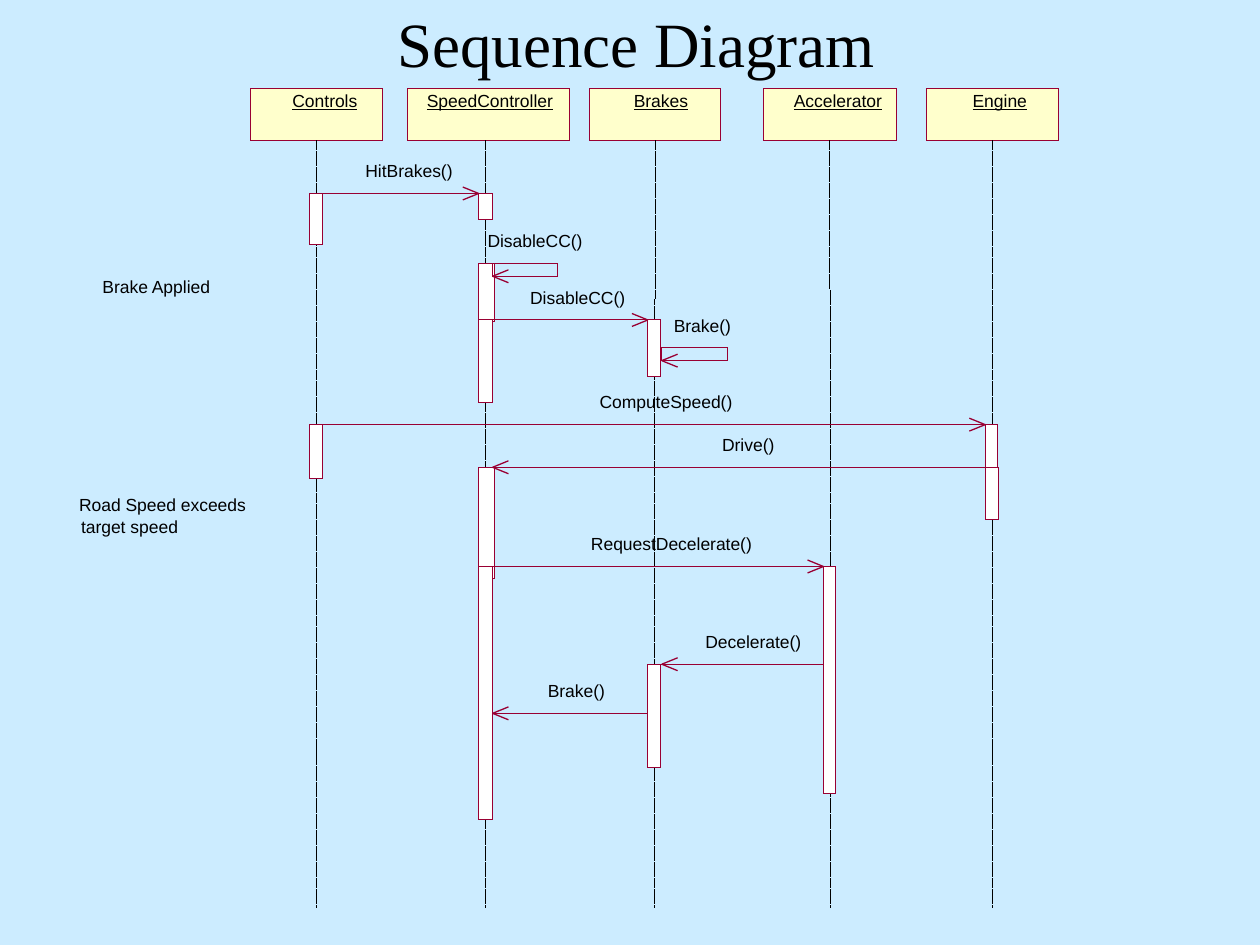
import dataclasses

import pptx
import pptx.dml.color
import pptx.enum.dml
import pptx.enum.shapes
import pptx.enum.text
import pptx.oxml.ns
import pptx.util
from lxml import etree

Cm = pptx.util.Cm
Pt = pptx.util.Pt

COLORS = {
    "background": "CCECFF",
    "head": "FFFFCC",
    "bar": "FFFFFF",
    "outline": "990033",
    "text": "000000",
}
HAIRLINE = 0.01
HEAD_TOP, HEAD_HEIGHT = 1.78, 1.05
LIFELINE_BOTTOM = 18.29
BAR_OFFSET = 0.14
MESSAGE_GAP = 0.14
LABEL_RISE = 0.62
LABEL_HEIGHT = 0.38
LABEL_PADDING = 0.15
ARROW_LENGTH, ARROW_RISE = 0.32, 0.13
LOOP_WIDTH, LOOP_HEIGHT = 1.32, 0.26


@dataclasses.dataclass
class Label:
    text: str
    left: float
    top: float
    width: float


@dataclasses.dataclass
class Bar:
    top: float
    height: float
    width: float


@dataclasses.dataclass
class Participant:
    name: str
    head_left: float
    head_width: float
    label_left: float
    label_width: float
    axis: float
    bars: list[Bar]


@dataclasses.dataclass
class Message:
    text: str
    sender: str
    receiver: str
    top: float
    label_left: float
    label_width: float


PARTICIPANTS = [
    Participant("Controls", 5.05, 2.67, 5.89, 1.32, 6.38,
                [Bar(3.9, 1.04, 0.27), Bar(8.56, 1.09, 0.27)]),
    Participant("SpeedController", 8.21, 3.27, 8.48, 2.79, 9.79,
                [Bar(3.9, 0.53, 0.28), Bar(5.31, 1.17, 0.32), Bar(6.45, 1.67, 0.28),
                 Bar(9.42, 2.24, 0.32), Bar(11.42, 5.1, 0.28)]),
    Participant("Brakes", 11.89, 2.63, 12.78, 1.09, 13.2,
                [Bar(6.45, 1.14, 0.25), Bar(13.39, 2.08, 0.25)]),
    Participant("Accelerator", 15.39, 2.68, 16.0, 1.78, 16.74,
                [Bar(11.42, 4.57, 0.25)]),
    Participant("Engine", 18.67, 2.67, 19.61, 1.09, 20.0,
                [Bar(8.56, 0.86, 0.25), Bar(9.42, 1.05, 0.28)]),
]

MESSAGES = [
    Message("HitBrakes()", "Controls", "SpeedController", 3.9, 7.37, 1.75),
    Message("DisableCC()", "SpeedController", "SpeedController", 5.31, 9.83, 1.91),
    Message("DisableCC()", "SpeedController", "Brakes", 6.45, 10.69, 1.91),
    Message("Brake()", "Brakes", "Brakes", 7.01, 13.59, 1.14),
    Message("ComputeSpeed()", "Controls", "Engine", 8.56, 12.09, 2.67),
    Message("Drive()", "Engine", "SpeedController", 9.42, 14.55, 1.07),
    Message("RequestDecelerate()", "SpeedController", "Accelerator", 11.42, 11.91, 3.25),
    Message("Decelerate()", "Accelerator", "Brakes", 13.39, 14.22, 1.93),
    Message("Brake()", "Brakes", "SpeedController", 14.38, 11.05, 1.14),
]

NOTES = [
    Label("Brake Applied", 2.06, 5.61, 2.18),
    Label("Road Speed exceeds", 1.6, 10.01, 3.35),
    Label("target speed", 1.63, 10.45, 1.96),
]


def color(name: str) -> pptx.dml.color.RGBColor:
    return pptx.dml.color.RGBColor.from_string(COLORS[name])


def format_runs(paragraph, font_name: str, size: float, underline: bool = False) -> None:
    paragraph.alignment = pptx.enum.text.PP_ALIGN.CENTER
    for run in paragraph.runs:
        run.font.name = font_name
        run.font.size = Pt(size)
        run.font.color.rgb = color("text")
        if underline:
            run.font.underline = True


def draw_title(slide, text: str) -> None:
    title = slide.shapes.title
    title.left, title.top, title.width, title.height = Cm(4.19), Cm(0), Cm(17.27), Cm(1.7)
    title.text_frame.text = text
    title.text_frame.vertical_anchor = pptx.enum.text.MSO_ANCHOR.MIDDLE
    format_runs(title.text_frame.paragraphs[0], "Times New Roman", 36)


def draw_label(slide, label: Label, underline: bool = False) -> None:
    box = slide.shapes.add_textbox(
        Cm(label.left - LABEL_PADDING), Cm(label.top),
        Cm(label.width + 2 * LABEL_PADDING), Cm(LABEL_HEIGHT))
    frame = box.text_frame
    frame.margin_left = frame.margin_right = frame.margin_top = frame.margin_bottom = 0
    frame.word_wrap = False
    frame.auto_size = pptx.enum.text.MSO_AUTO_SIZE.SHAPE_TO_FIT_TEXT
    frame.text = label.text
    paragraph = frame.paragraphs[0]
    paragraph.line_spacing = 0.9
    paragraph.space_before = Pt(3.7)
    format_runs(paragraph, "Arial", 10, underline)


def draw_box(slide, left: float, top: float, width: float, height: float,
             fill: str | None = None):
    shape = slide.shapes.add_shape(
        pptx.enum.shapes.MSO_SHAPE.RECTANGLE, Cm(left), Cm(top), Cm(width), Cm(height))
    shape.shadow.inherit = False
    if fill:
        shape.fill.solid()
        shape.fill.fore_color.rgb = color(fill)
    else:
        shape.fill.background()
    shape.line.color.rgb = color("outline")
    shape.line.width = Pt(HAIRLINE)
    return shape


def draw_line(slide, start: tuple[float, float], end: tuple[float, float],
              stroke: str = "outline", width: float = HAIRLINE):
    connector = slide.shapes.add_connector(
        pptx.enum.shapes.MSO_CONNECTOR.STRAIGHT,
        Cm(start[0]), Cm(start[1]), Cm(end[0]), Cm(end[1]))
    connector.line.color.rgb = color(stroke)
    connector.line.width = Pt(width)
    properties = connector._element.spPr
    etree.SubElement(properties, pptx.oxml.ns.qn("a:effectLst"))
    return connector


def draw_participant(slide, participant: Participant) -> None:
    head = draw_box(slide, participant.head_left, HEAD_TOP,
                    participant.head_width, HEAD_HEIGHT, "head")
    draw_label(slide, Label(participant.name, participant.label_left, 1.86,
                            participant.label_width), underline=True)
    axis = participant.axis
    lifeline = draw_line(slide, (axis, HEAD_TOP + HEAD_HEIGHT),
                         (axis, LIFELINE_BOTTOM), "text")
    lifeline.line.dash_style = pptx.enum.dml.MSO_LINE.SQUARE_DOT
    head_middle = participant.head_left + participant.head_width / 2
    if abs(head_middle - axis) < 0.03:
        lifeline.begin_connect(head, 2)
    for bar in participant.bars:
        draw_box(slide, axis - BAR_OFFSET, bar.top, bar.width, bar.height, "bar")


def draw_message(slide, message: Message, axes: dict[str, float]) -> None:
    start, end = axes[message.sender], axes[message.receiver]
    direction = 1 if end > start else -1
    tip_x, tip_y = end - direction * MESSAGE_GAP, message.top
    if start == end:
        draw_box(slide, tip_x, message.top, LOOP_WIDTH, LOOP_HEIGHT)
        tip_y += LOOP_HEIGHT
    else:
        draw_line(slide, (start + direction * MESSAGE_GAP, tip_y), (tip_x, tip_y))
    for rise in (ARROW_RISE, -ARROW_RISE):
        draw_line(slide, (tip_x, tip_y),
                  (tip_x - direction * ARROW_LENGTH, tip_y + rise), width=0.75)
    draw_label(slide, Label(message.text, message.label_left,
                            message.top - LABEL_RISE, message.label_width))


def main() -> None:
    presentation = pptx.Presentation()
    presentation.slide_width, presentation.slide_height = Cm(25.4), Cm(19.05)
    slide = presentation.slides.add_slide(presentation.slide_layouts[5])
    slide.background.fill.solid()
    slide.background.fill.fore_color.rgb = color("background")
    draw_title(slide, "Sequence Diagram")
    for participant in PARTICIPANTS:
        draw_participant(slide, participant)
    axes = {participant.name: participant.axis for participant in PARTICIPANTS}
    for message in MESSAGES:
        draw_message(slide, message, axes)
    for note in NOTES:
        draw_label(slide, note)
    presentation.save("out.pptx")


if __name__ == "__main__":
    main()
